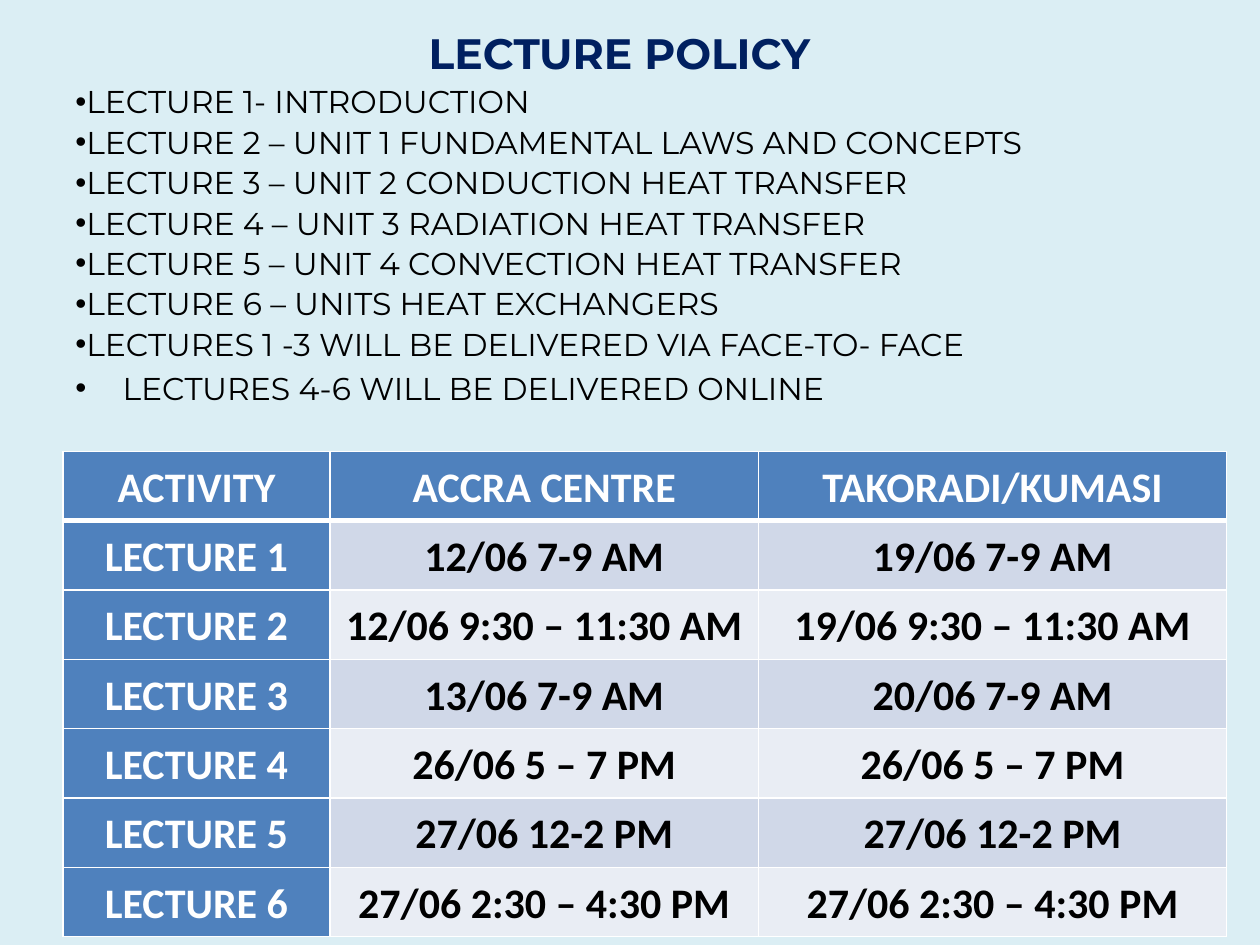
from dataclasses import dataclass

from lxml.etree import SubElement
from pptx import Presentation
from pptx.dml.color import RGBColor as RGB
from pptx.enum.text import MSO_ANCHOR as Anchor, PP_ALIGN as Align
from pptx.oxml.ns import qn
from pptx.util import Pt


@dataclass(frozen=True)
class Theme:
    background: str = "DBEEF4"
    title: str = "002060"
    text: str = "000000"
    light: str = "FFFFFF"
    accent: str = "4F81BD"
    odd_row: str = "D0D8E8"
    even_row: str = "E9EDF4"
    heading_font: str = "Montserrat"
    table_font: str = "Calibri"
    title_size: float = 24.3
    body_size: float = 18
    table_size: float = 24
    line_spacing: float = 1.07


THEME = Theme()
HANGING = 27
TOPICS = [
    "LECTURE 1- INTRODUCTION",
    "LECTURE 2 – UNIT 1 FUNDAMENTAL LAWS AND CONCEPTS",
    "LECTURE 3 – UNIT 2 CONDUCTION HEAT TRANSFER",
    "LECTURE 4 – UNIT 3 RADIATION HEAT TRANSFER",
    "LECTURE 5 – UNIT 4 CONVECTION HEAT TRANSFER",
    "LECTURE 6 – UNITS HEAT EXCHANGERS",
    "LECTURES 1 -3 WILL BE DELIVERED VIA FACE-TO- FACE",
]
ONLINE_NOTE = "LECTURES 4-6 WILL BE DELIVERED ONLINE"
SCHEDULE = [
    ("ACTIVITY", "ACCRA CENTRE", "TAKORADI/KUMASI"),
    ("LECTURE 1", "12/06 7-9 AM", "19/06 7-9 AM"),
    ("LECTURE 2", "12/06 9:30 – 11:30 AM", "19/06 9:30 – 11:30 AM"),
    ("LECTURE 3", "13/06 7-9 AM", "20/06 7-9 AM"),
    ("LECTURE 4", "26/06 5 – 7 PM", "26/06 5 – 7 PM"),
    ("LECTURE 5", "27/06 12-2 PM", "27/06 12-2 PM"),
    ("LECTURE 6", "27/06 2:30 – 4:30 PM", "27/06 2:30 – 4:30 PM"),
]
COLUMN_WIDTHS = (152.6, 244.8, 267.6)
ROW_HEIGHT = 39.6


def format_runs(p, font, size, color, bold=False):
    for r in p.runs:
        r.font.name = font
        r.font.size = Pt(size)
        r.font.bold = bold
        r.font.color.rgb = RGB.from_string(color)


def add_text_frame(s, left, top, width, height):
    tf = s.shapes.add_textbox(Pt(left), Pt(top), Pt(width), Pt(height)).text_frame
    tf.word_wrap = True
    return tf


def add_title(s, text):
    tf = add_text_frame(s, 30, 9, 648, 42)
    tf.vertical_anchor = Anchor.MIDDLE
    tf.text = text
    p = tf.paragraphs[0]
    p.alignment = Align.CENTER
    format_runs(p, THEME.heading_font, THEME.title_size, THEME.title, True)


def set_bullet(p, margin):
    pPr = p._p.get_or_add_pPr()
    pPr.set("marL", str(Pt(margin)))
    pPr.set("indent", str(-Pt(HANGING)))
    SubElement(pPr, qn("a:buFont"), typeface="Arial")
    SubElement(pPr, qn("a:buChar"), char="•")


def add_topics(s, topics, note):
    tf = add_text_frame(s, 36, 42, 648, 486)
    tf.text = "\n".join([*topics, note])
    *topic_paragraphs, note_paragraph = tf.paragraphs
    for p in topic_paragraphs:
        p.line_spacing = THEME.line_spacing
        set_bullet(p, 0)
    note_paragraph.space_before = Pt(3.6)
    set_bullet(note_paragraph, HANGING)
    for p in tf.paragraphs:
        format_runs(p, THEME.heading_font, THEME.body_size, THEME.text)


def set_borders(cell, widths):
    tcPr = cell._tc.get_or_add_tcPr()
    for index, (side, width) in enumerate(widths.items()):
        ln = tcPr.makeelement(qn(f"a:ln{side}"), {"w": str(Pt(width))})
        fill = SubElement(ln, qn("a:solidFill"))
        SubElement(fill, qn("a:srgbClr"), val=THEME.light)
        tcPr.insert(index, ln)


def fill_cell(cell, text, fill, color):
    cell.fill.solid()
    cell.fill.fore_color.rgb = RGB.from_string(fill)
    cell.vertical_anchor = Anchor.MIDDLE
    cell.margin_left = cell.margin_right = Pt(5)
    cell.margin_top = cell.margin_bottom = 0
    cell.text = text
    p = cell.text_frame.paragraphs[0]
    p.alignment = Align.CENTER
    p.line_spacing = THEME.line_spacing
    format_runs(p, THEME.table_font, THEME.table_size, color, True)


def add_schedule(s, rows):
    frame = s.shapes.add_table(
        len(rows), len(COLUMN_WIDTHS), Pt(36), Pt(258),
        Pt(sum(COLUMN_WIDTHS)), Pt(ROW_HEIGHT * len(rows)),
    )
    table = frame.table
    for column, width in zip(table.columns, COLUMN_WIDTHS):
        column.width = Pt(width)
    for i, row in enumerate(rows):
        table.rows[i].height = Pt(ROW_HEIGHT)
        band = THEME.odd_row if i % 2 else THEME.even_row
        top, bottom = 3 if i == 1 else 1, 3 if i == 0 else 1
        for j, text in enumerate(row):
            heading = i == 0 or j == 0
            cell = table.cell(i, j)
            fill_cell(cell, text, THEME.accent if heading else band,
                      THEME.light if heading else THEME.text)
            set_borders(cell, {"L": 1, "R": 1, "T": top, "B": bottom})


def main():
    prs = Presentation()
    prs.slide_width, prs.slide_height = Pt(720), Pt(540)
    s = prs.slides.add_slide(prs.slide_layouts[6])
    s.background.fill.solid()
    s.background.fill.fore_color.rgb = RGB.from_string(THEME.background)
    add_title(s, "LECTURE POLICY")
    add_topics(s, TOPICS, ONLINE_NOTE)
    add_schedule(s, SCHEDULE)
    prs.save("out.pptx")


if __name__ == "__main__":
    main()
